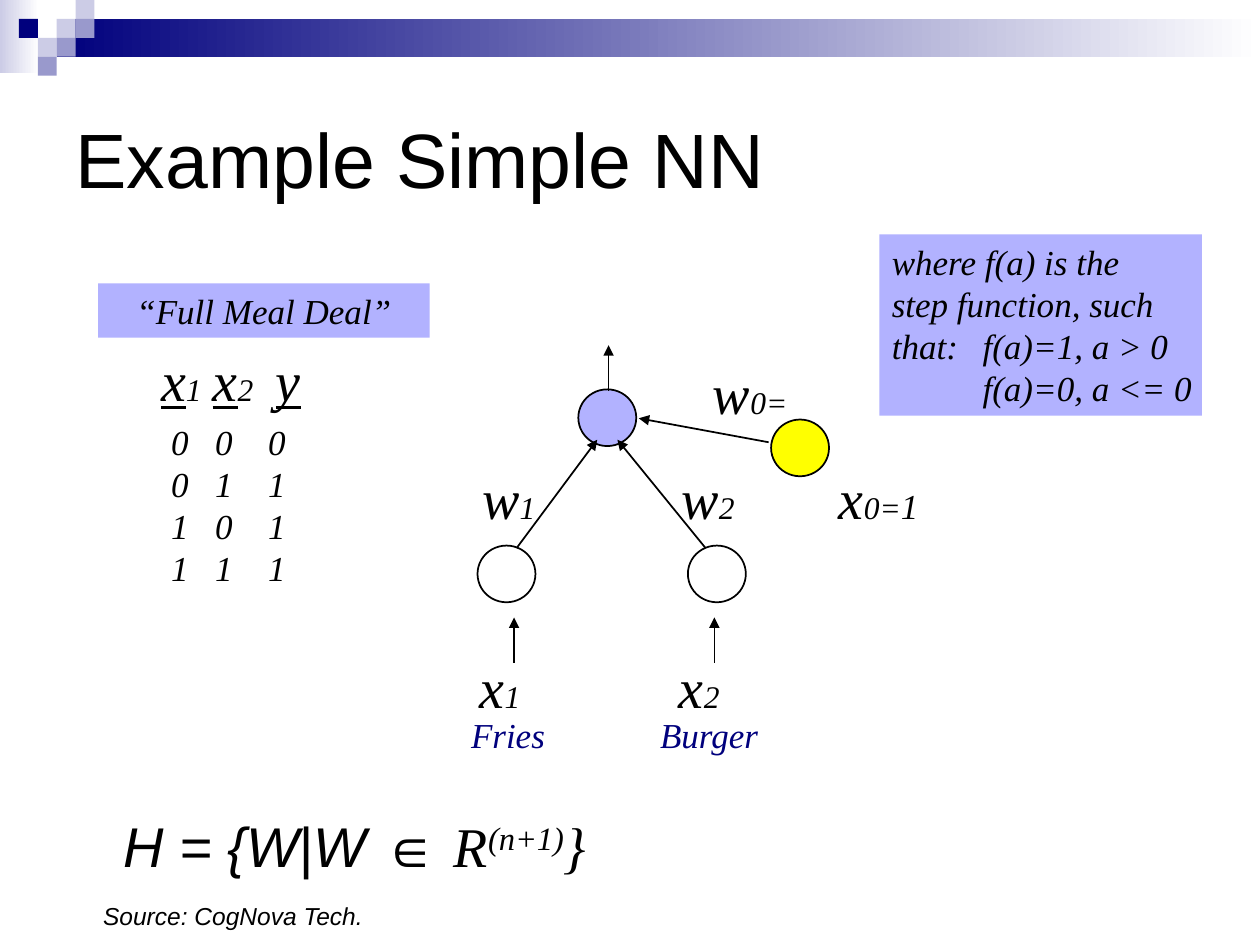
import pptx
import pptx.chart.data
import pptx.dml.color
import pptx.enum.shapes
import pptx.enum.text
import pptx.oxml
import pptx.oxml.ns
import pptx.util

COLORS = {
    "black": "000000", "white": "FFFFFF", "navy": "00007D", "lilac": "B2B2FF",
    "yellow": "FFFF00", "pale": "CCCCE6", "mid": "9999CC",
}
SERIF, SANS = "Times New Roman", "Arial"
SHAPES = pptx.enum.shapes.MSO_SHAPE
ALIGN = pptx.enum.text.PP_ALIGN
ANCHOR = pptx.enum.text.MSO_ANCHOR
CELL = pptx.util.Inches(10) // 100


def grid(*cells):
    return [round(cell * CELL) for cell in cells]


def within(box, column, row, width, height):
    return box[0] + column, box[1] + row, width, height


def rgb(name):
    return pptx.dml.color.RGBColor.from_string(COLORS[name])


def add_run(paragraph, words, size, font=SERIF, color="black", italic=True, underline=None):
    run = paragraph.add_run()
    run.text = words
    run.font.size = pptx.util.Pt(size)
    run.font.name = font
    run.font.italic = italic
    run.font.underline = underline
    run.font.color.rgb = rgb(color)
    return run


def set_tabs(paragraph, stops):
    properties = paragraph._p.get_or_add_pPr()
    tabs = properties.makeelement(pptx.oxml.ns.qn("a:tabLst"), {})
    for stop in stops:
        tab = tabs.makeelement(pptx.oxml.ns.qn("a:tab"), {"pos": str(round(stop * CELL)), "algn": "l"})
        tabs.append(tab)
    properties.append(tabs)


def add_label(slide, box, pieces, font=SERIF, color="black"):
    frame = slide.shapes.add_textbox(*grid(*box)).text_frame
    frame.word_wrap = False
    for words, size, underline in pieces:
        add_run(frame.paragraphs[0], words, size, font, color, underline=underline)


def add_symbol(slide, box, letter, index, underline=None):
    pieces = [(letter, 32, underline)]
    if index:
        pieces.append((index, 18, None))
    add_label(slide, box, pieces)


def add_lines(frame, lines, stops=()):
    for number, line in enumerate(lines):
        paragraph = frame.add_paragraph() if number else frame.paragraphs[0]
        paragraph.alignment = ALIGN.LEFT
        if stops:
            set_tabs(paragraph, stops)
        add_run(paragraph, line, 20)


def add_panel(slide, box, kind=SHAPES.RECTANGLE, fill="lilac", outline=None):
    panel = slide.shapes.add_shape(kind, *grid(*box))
    panel.shadow.inherit = False
    panel.fill.solid()
    panel.fill.fore_color.rgb = rgb(fill)
    if outline:
        panel.line.color.rgb = rgb(outline)
        panel.line.width = pptx.util.Pt(1)
    else:
        panel.line.fill.background()
    return panel


def add_gradient(slide, box, start):
    band = add_panel(slide, box)
    band.fill.gradient()
    band.fill.gradient_angle = 0
    for stop, color in zip(band.fill.gradient_stops, (start, "white")):
        stop.color.rgb = rgb(color)


def add_arrow(slide, box, start, end):
    points = grid(box[0] + start[0], box[1] + start[1], box[0] + end[0], box[1] + end[1])
    arrow = slide.shapes.add_connector(pptx.enum.shapes.MSO_CONNECTOR.STRAIGHT, *points)
    arrow.line.color.rgb = rgb("black")
    arrow.line.width = pptx.util.Pt(1)
    line = arrow.line._get_or_add_ln()
    line.append(line.makeelement(pptx.oxml.ns.qn("a:tailEnd"), {"type": "triangle"}))
    properties = arrow._element.spPr
    properties.append(properties.makeelement(pptx.oxml.ns.qn("a:effectLst"), {}))


def add_banner(slide, box):
    square = 1.5
    add_gradient(slide, within(box, 0, 0, 3.1, 5.8), "pale")
    add_gradient(slide, within(box, 3 * square, square, box[2] - 3 * square, 2 * square), "navy")
    mosaic = [(3, 1, "pale"), (4, 0, "pale"), (4, 1, "mid"), (2, 2, "pale"),
              (1, 1, "navy"), (3, 2, "mid"), (2, 3, "mid")]
    for column, row, color in mosaic:
        add_panel(slide, within(box, column * square, row * square, square, square), fill=color)


def add_title(slide, box):
    title = slide.shapes.title
    title.left, title.top, title.width, title.height = grid(*box)
    frame = title.text_frame
    frame.vertical_anchor = ANCHOR.MIDDLE
    frame.paragraphs[0].alignment = ALIGN.LEFT
    add_run(frame.paragraphs[0], "Example Simple NN", 44, SANS, italic=False)


def add_truth_table(slide, box):
    heading = add_panel(slide, within(box, 0, 0, box[2], 4.3)).text_frame
    heading.vertical_anchor = ANCHOR.TOP
    heading.paragraphs[0].alignment = ALIGN.CENTER
    add_run(heading.paragraphs[0], "“Full Meal Deal”", 20)
    for column, width, letter, index in [(4, 5.3, "x", "1"), (8.1, 5.3, "x", "2"), (13.1, 4.1, "y", "")]:
        add_symbol(slide, within(box, column, 4.4, width, 6.4), letter, index, underline=True)
    rows = slide.shapes.add_textbox(*grid(*within(box, 4.8, 10.4, 13.6, 14.4))).text_frame
    rows.word_wrap = True
    cases = [(first, second, first | second) for first in (0, 1) for second in (0, 1)]
    add_lines(rows, ["\t".join(map(str, case)) for case in cases], (3.5, 7.7))


def add_step_function(slide, box):
    frame = add_panel(slide, box).text_frame
    frame.word_wrap = False
    frame.vertical_anchor = ANCHOR.TOP
    add_lines(frame, ["where f(a) is the", "step function, such",
                      "that:\tf(a)=1, a > 0", "\tf(a)=0, a <= 0"], (7.2,))


def add_network(slide, box):
    neurons = [(9.9, 3.9, "lilac"), (1.9, 16.3, "white"), (18.6, 16.3, "white"), (25.2, 6.3, "yellow")]
    for column, row, color in neurons:
        add_panel(slide, within(box, column, row, 4.6, 4.5), SHAPES.OVAL, color, "black")
    arrows = [((5, 16.5), (11.4, 7.9)), ((20, 16.5), (13, 7.9)), ((25, 8.1), (14.7, 6.2)),
              ((12.3, 4), (12.3, 0.4)), ((4.8, 25.6), (4.8, 22)), ((20.7, 25.6), (20.7, 22))]
    for start, end in arrows:
        add_arrow(slide, box, start, end)
    symbols = [(1.1, 24.3, 5.3, "x", "1"), (16.9, 24.3, 5.3, "x", "2"), (1.3, 9.3, 6.3, "w", "1"),
               (17.1, 9.3, 6.3, "w", "2"), (19.6, 1, 8.6, "w", "0=")]
    for column, row, width, letter, index in symbols:
        add_symbol(slide, within(box, column, row, width, 6.4), letter, index)
    add_label(slide, within(box, 29.6, 9.3, 8.4, 6.4), [("x", 32, None), ("0=", 18, None), ("1", 20, None)])
    for column, width, meal in [(0.4, 8, "Fries"), (15.4, 10, "Burger")]:
        add_label(slide, within(box, column, 29.1, width, 4.4), [(meal, 20, None)], color="navy")


def add_hypothesis(slide, box):
    frame = slide.shapes.add_textbox(*grid(*within(box, 1.6, 0, 48.7, 7.1))).text_frame
    frame.word_wrap = True
    formula = frame.paragraphs[0]
    add_run(formula, "H = {W|W ", 32, SANS)
    add_run(formula, "∈ ", 32, SANS, italic=False)
    add_run(formula, "R", 32)
    exponent = add_run(formula, "(n+1)", 32)
    exponent.font._element.set("baseline", "30000")
    add_run(formula, "}", 32)
    add_label(slide, within(box, 0, 7.1, 22.7, 3.4), [("Source: CogNova Tech.", 14, None)], SANS)


def main():
    deck = pptx.Presentation()
    deck.slide_width, deck.slide_height = grid(100, 75)
    slide = deck.slides.add_slide(deck.slide_layouts[5])
    add_banner(slide, (0, 0, 100, 6))
    add_title(slide, (5, 5, 90, 15))
    add_hypothesis(slide, (7.2, 63.9, 50.3, 10.5))
    add_network(slide, (36, 27, 38, 33.5))
    add_truth_table(slide, (7.8, 22.5, 26.3, 24.8))
    add_step_function(slide, (69.8, 18.6, 25.6, 14.4))
    deck.save("out.pptx")


if __name__ == "__main__":
    main()
